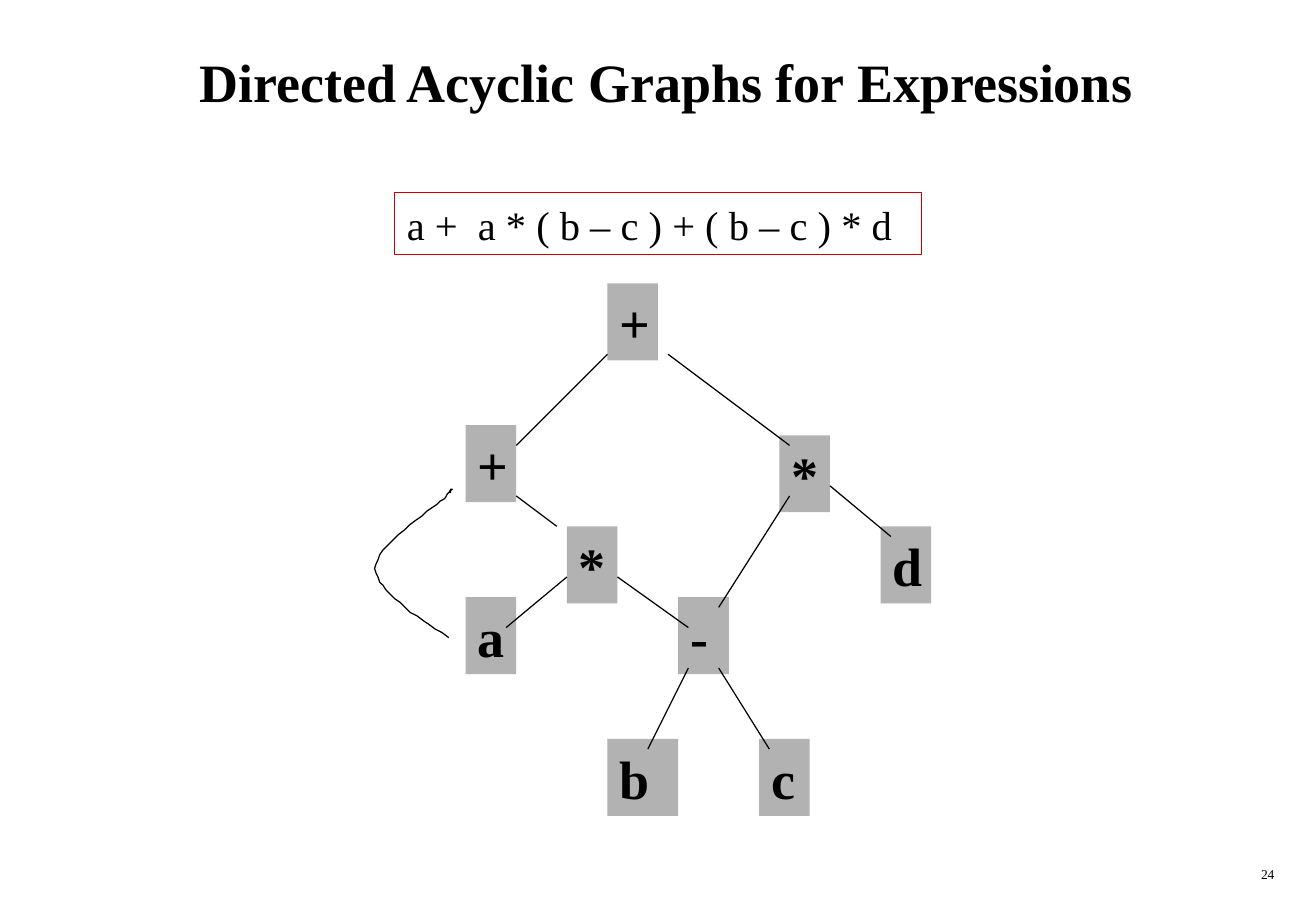
"""Build the slide on directed acyclic graphs for expressions."""
from pptx import Presentation, util as u
from pptx.dml.color import RGBColor
from pptx.enum import shapes, text
from pptx.oxml.ns import qn
from lxml import etree

BLACK = RGBColor(0x00, 0x00, 0x00)
GRAY = RGBColor(0xB2, 0xB2, 0xB2)
RED = RGBColor(0xCC, 0x00, 0x00)


def write(sp, content, size, bold, align, anchor):
    tf = sp.text_frame
    tf.word_wrap = True
    tf.vertical_anchor = anchor
    p = tf.paragraphs[0]
    p.alignment = align
    r = p.add_run()
    r.text = content
    fmt = {"name": "Times New Roman", "size": u.Pt(size), "bold": bold}
    for key, value in fmt.items():
        setattr(r.font, key, value)
    r.font.color.rgb = BLACK


def add_box(content, box, size, bold):
    sp = s.shapes.add_shape(shapes.MSO_SHAPE.RECTANGLE, *map(u.Pt, box))
    sp.shadow.inherit = False
    write(sp, content, size, bold, text.PP_ALIGN.LEFT, text.MSO_ANCHOR.BOTTOM)
    return sp


prs = Presentation()
prs.slide_width, prs.slide_height = u.Pt(780), u.Pt(540)
s = prs.slides.add_slide(prs.slide_layouts[5])

title = s.shapes.title
bounds = {"left": 30, "top": 12, "width": 738, "height": 72}
for key, value in bounds.items():
    setattr(title, key, u.Pt(value))
write(title, "Directed Acyclic Graphs for Expressions ", 32, True,
      text.PP_ALIGN.CENTER, text.MSO_ANCHOR.MIDDLE)

number = s.shapes.add_textbox(*map(u.Pt, (600, 510, 162.5, 18)))
write(number, "24", 8, False, text.PP_ALIGN.RIGHT, text.MSO_ANCHOR.TOP)

formula = add_box("a +  a * ( b – c ) + ( b – c ) * d",
                  (234, 114, 312, 36.7), 24, False)
formula.fill.background()
formula.line.color.rgb = RED
formula.line.width = u.Pt(0.75)

nodes = [
    ("+", 360, 168, 30), ("+", 276, 252, 30), ("*", 462, 258, 30),
    ("*", 336, 312, 30), ("-", 402, 354, 30), ("a", 276, 354, 30),
    ("b", 360, 438, 42), ("c", 450, 438, 30), ("d", 522, 312, 30),
]
for label, left, top, width in nodes:
    node = add_box(label, (left, top, width, 45.6), 32, True)
    node.fill.solid()
    node.fill.fore_color.rgb = GRAY
    node.line.fill.background()

edges = [
    (336, 342, 300, 372), (360, 210, 306, 264), (396, 210, 468, 264),
    (366, 342, 408, 372), (492, 288, 528, 318), (468, 294, 426, 360),
    (408, 396, 384, 444), (426, 396, 456, 444), (306, 294, 330, 312),
]
for ends in edges:
    edge = s.shapes.add_connector(shapes.MSO_CONNECTOR.STRAIGHT, *map(u.Pt, ends))
    edge.line.color.rgb = BLACK
    edge.line.width = u.Pt(0.75)
    etree.SubElement(edge._element.spPr, qn("a:effectLst"))

start = (266.4, 378)
beziers = [
    ((244.8, 364.3), (223.2, 350.6), (222.5, 337)),
    ((221.8, 323.3), (255.6, 303.1), (262.8, 295.9)),
    ((270, 288), (268.6, 289.4), (266.4, 290.9)),
]
points = [start]
steps = 16
for c1, c2, end in beziers:
    begin = points[-1]
    for i in range(1, steps + 1):
        t = i / steps
        weights = ((1 - t) ** 3, 3 * t * (1 - t) ** 2, 3 * t ** 2 * (1 - t), t ** 3)
        points.append(tuple(sum(w * c for w, c in zip(weights, axis))
                            for axis in zip(begin, c1, c2, end)))
builder = s.shapes.build_freeform(*start, scale=u.Pt(1))
builder.add_line_segments(points[1:], close=False)
arc = builder.convert_to_shape()
arc.shadow.inherit = False
arc.fill.background()
arc.line.color.rgb = BLACK
arc.line.width = u.Pt(0.75)

prs.save("out.pptx")
